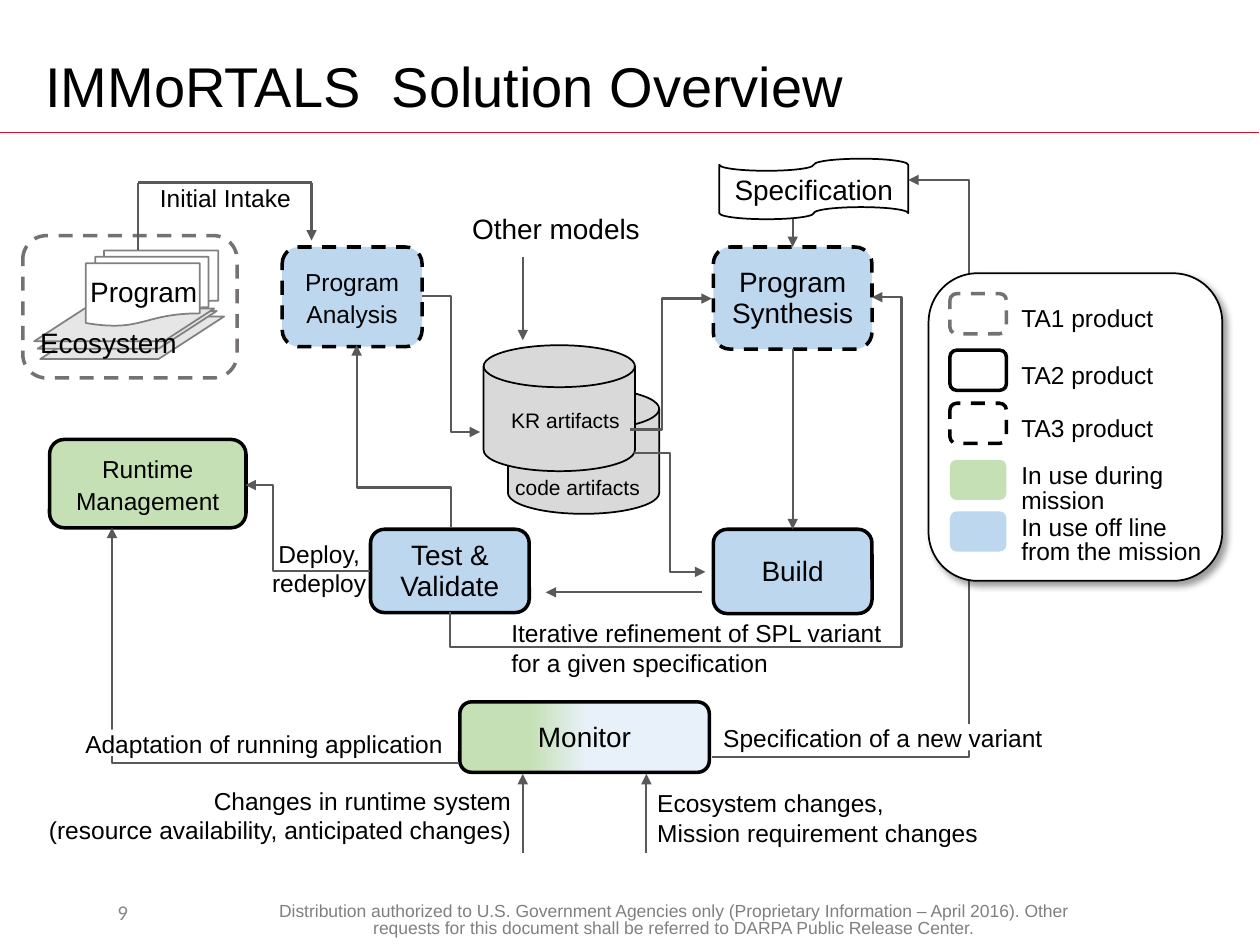
from lxml import etree
from pptx import Presentation
from pptx.dml.color import RGBColor
from pptx.enum import dml, shapes, text
from pptx.oxml import ns
from pptx.util import Cm, Pt

COLORS = {
    "black": "000000", "white": "FFFFFF", "rule": "CE1126", "arrow": "595959",
    "blue": "BDD7EE", "green": "C5E0B4", "pale": "E8F1F9", "disk": "D9D9D9",
    "ground": "E7E6E6", "outline": "808080", "ta1": "767171", "number": "898989",
}
FORM = shapes.MSO_SHAPE
ALIGN = text.PP_ALIGN


def rgb(name):
    return RGBColor.from_string(COLORS[name])


def child(parent, tag, **attributes):
    return etree.SubElement(parent, ns.qn(tag), attributes)


def write(frame, content, size, align, spacing=None, color="black", font="Arial"):
    frame.text = content
    frame.word_wrap = True
    for paragraph in frame.paragraphs:
        paragraph.alignment = align
        if spacing:
            paragraph.line_spacing = spacing
        paragraph.font.size = Pt(size)
        paragraph.font.name = font
        paragraph.font.color.rgb = rgb(color)


class Region:
    """Draws parts at centimetre offsets from its own left top corner."""

    def __init__(self, slide, left, top):
        self.shapes, self.left, self.top = slide.shapes, left, top

    def at(self, x, y):
        return Cm(self.left + x), Cm(self.top + y)

    def shape(self, form, x, y, width, height, fill=None, line=None, weight=1, dash=False):
        part = self.shapes.add_shape(form, *self.at(x, y), Cm(width), Cm(height))
        part.shadow.inherit = False
        if fill:
            part.fill.solid()
            part.fill.fore_color.rgb = rgb(fill)
        else:
            part.fill.background()
        if line:
            part.line.color.rgb = rgb(line)
            part.line.width = Pt(weight)
            if dash:
                part.line.dash_style = dml.MSO_LINE.DASH
        else:
            part.line.fill.background()
        return part

    def node(self, content, x, y, width, height, fill="blue", size=16,
             dash=False, form=FORM.ROUNDED_RECTANGLE, weight=2, spacing=Pt(18)):
        part = self.shape(form, x, y, width, height, fill, "black", weight, dash)
        part.text_frame.vertical_anchor = text.MSO_ANCHOR.MIDDLE
        write(part.text_frame, content, size, ALIGN.CENTER, spacing)
        return part

    def label(self, content, x, y, width, height=0.84, size=14, align=ALIGN.LEFT, **style):
        box = self.shapes.add_textbox(*self.at(x, y), Cm(width), Cm(height))
        write(box.text_frame, content, size, align, **style)
        return box

    def line(self, start, end, arrow=True, color="arrow", weight=1.25,
             kind=shapes.MSO_CONNECTOR.STRAIGHT):
        part = self.shapes.add_connector(kind, *self.at(*start), *self.at(*end))
        part.line.color.rgb = rgb(color)
        part.line.width = Pt(weight)
        if arrow:
            child(part.line._get_or_add_ln(), "a:tailEnd", type="triangle")
        child(part._element.spPr, "a:effectLst")
        return part

    def route(self, start, end, *bends, upright=False):
        """Elbow arrow; bends are fractions of the span, upright leaves vertically."""
        if upright:
            cx, cy = (start[0] + end[0]) / 2, (start[1] + end[1]) / 2
            start, end = ((cx + cy - y, cy + x - cx) for x, y in (start, end))
        part = self.line(start, end, kind=shapes.MSO_CONNECTOR.ELBOW)
        properties = part._element.spPr
        if upright:
            properties.find(ns.qn("a:xfrm")).set("rot", str(270 * 60000))
        geometry = properties.find(ns.qn("a:prstGeom"))
        geometry.set("prst", f"bentConnector{len(bends) + 2}")
        guides = geometry.find(ns.qn("a:avLst"))
        if guides is None:
            guides = child(geometry, "a:avLst")
        for number, bend in enumerate(bends, 1):
            child(guides, "a:gd", name=f"adj{number}", fmla=f"val {round(bend * 100000)}")


def draw_frame(slide):
    """Title, rule, page number and distribution notice."""
    title = slide.shapes.title
    title.left, title.top, title.width, title.height = Cm(0.66), Cm(0.76), Cm(22.86), Cm(1.9)
    title.text_frame.vertical_anchor = text.MSO_ANCHOR.MIDDLE
    write(title.text_frame, "IMMoRTALS  Solution Overview", 32, ALIGN.LEFT)
    page = Region(slide, 0, 0)
    page.line((0, 2.67), (25.38, 2.67), arrow=False, color="rule", weight=1)
    page.label("Distribution authorized to U.S. Government Agencies only (Proprietary "
               "Information – April 2016). Other requests for this document shall be "
               "referred to DARPA Public Release Center.",
               5.36, 18.11, 16.43, 0.79, 10, ALIGN.CENTER, spacing=0.8, color="outline")
    number = page.label("9", 0.71, 17.88, 3.53, 1.02, 12, ALIGN.CENTER,
                        color="number", font="Calibri")
    number.text_frame.vertical_anchor = text.MSO_ANCHOR.MIDDLE


def draw_ecosystem(slide, left, top):
    area = Region(slide, left, top)
    for x, y, width, height in ((0.35, 1.63, 3.71, 0.86), (0.3, 1.52, 3.61, 0.76),
                                (0.23, 1.47, 3.63, 0.66)):
        layer = area.shape(FORM.PARALLELOGRAM, x, y, width, height, "ground", "outline")
        layer.adjustments[0] = 1.54
    area.shape(FORM.FLOWCHART_MULTIDOCUMENT, 1.27, 0.3, 2.67, 1.52, "white", "outline")
    area.label("Program", 1.11, 0.66, 2.74, 0.94, 16)
    area.label("Ecosystem", 0.1, 1.68, 3.3, 0.94, 16)
    area.shape(FORM.ROUNDED_RECTANGLE, 0, 0, 4.32, 2.87, None, "ta1", 2, True)
    area.line((2.33, 0.28), (2.33, -1.07), arrow=False)
    area.line((2.33, -1.07), (5.82, -1.07), arrow=False)
    area.line((5.82, -1.07), (5.82, 0.1))
    area.label("Initial Intake", 2.36, -1.19, 3.45, align=ALIGN.CENTER)


def draw_artifacts(slide, left, top):
    area = Region(slide, left, top)
    for x, y in ((0.49, 0.86), (0, 0)):
        area.shape(FORM.FLOWCHART_MAGNETIC_DISK, x, y, 3.05, 2.54, "disk", "black")
    for content, x, y, width in (("KR artifacts", 0.23, 1.22, 2.84),
                                 ("code artifacts", 0.13, 2.57, 3.53)):
        area.label(content, x, y, width, 0.66, 12, ALIGN.CENTER, spacing=0.8)
    area.label("Other models", -0.48, -2.82, 4.04, 0.94, 16)
    area.line((0.79, -1.78), (0.79, -0.1))


def draw_process(slide, left, top):
    area = Region(slide, left, top)
    area.node("Program Analysis", 4.69, 1.98, 2.82, 2.01, size=14, dash=True)
    synthesis = area.node("Program Synthesis", 13.38, 1.98, 3.2, 2.06, dash=True)
    build = area.node("Build", 13.38, 7.67, 3.2, 1.7)
    area.node("Test & Validate", 6.47, 7.67, 3.2, 1.68)
    area.node("Runtime Management", 0, 5.86, 3.96, 1.78, "green", 14)

    area.route((7.51, 2.97), (8.68, 5.71), 0.5)
    area.route((11.7, 5.66), (13.35, 3.02), 0.39)
    area.route((11.78, 6.14), (13.22, 8.53), 0.5)
    area.route((6.47, 8.51), (3.95, 6.78), 0.78)
    area.route((8.09, 7.64), (6.19, 3.96), 0.22, upright=True)
    area.route((8.07, 9.34), (16.58, 2.99), -0.11, 1.07, upright=True)
    area.line((13.15, 8.94), (10, 8.94))
    synthesis_to_build = area.line((14.98, 4.04), (14.98, 7.67))
    synthesis_to_build.begin_connect(synthesis, 2)
    synthesis_to_build.end_connect(build, 0)
    area.line((14.98, 1.17), (14.98, 1.98)).end_connect(synthesis, 0)

    area.node("Specification", 13.5, 0.2, 3.81, 1.22, "white",
              form=FORM.FLOWCHART_PUNCHED_TAPE, weight=1, spacing=None)
    area.label("Deploy,\nredeploy", 4.18, 7.74, 2.51, 1.47, align=ALIGN.CENTER)
    area.label("Iterative refinement of SPL variant for a given specification",
               9.06, 9.34, 8.08, 1.47)


def draw_monitor(slide, left, top):
    area = Region(slide, left, top)
    monitor = area.node("Monitor", 0, 0, 5.03, 1.42)
    monitor.fill.gradient()
    monitor.fill.gradient_angle = 0
    for stop, position, color in zip(monitor.fill.gradient_stops, (0.28, 0.51), ("green", "pale")):
        stop.position = position
        stop.color.rgb = rgb(color)
    area.route((-0.02, 1.24), (-7.01, -3.51), 1)
    area.route((5.08, 1.12), (9.04, -10.52), 1.31)
    for x in (1.27, 3.76):
        area.line((x, 3.05), (x, 1.45))
    for x, y in ((-7.29, 0.56), (10.03, 0.45)):
        area.shape(FORM.RECTANGLE, x, y, 0.48, 0.53, "white")
    area.label("Adaptation of running application", -7.8, 0.43, 8.03)
    area.label("Specification of a new variant", 5.06, 0.3, 7.34)
    area.label("Changes in runtime system\n(resource availability, anticipated changes)",
               -8.79, 1.57, 10.08, 1.47, align=ALIGN.RIGHT)
    area.label("Ecosystem changes,\nMission requirement changes", 3.73, 1.62, 7.77, 1.47)


def draw_legend(slide, left, top):
    area = Region(slide, left, top)
    panel = area.shape(FORM.ROUNDED_RECTANGLE, 0, 0, 5.92, 6.2, "white", "black")
    effects = panel._element.spPr.find(ns.qn("a:effectLst"))
    shadow = child(effects, "a:outerShdw", blurRad=str(Pt(4)), dist=str(Pt(3)),
                   dir=str(45 * 60000), algn="tl", rotWithShape="0")
    child(child(shadow, "a:srgbClr", val=COLORS["black"]), "a:alpha", val="40000")
    entries = (
        ("TA1 product", 0.41, None, "ta1", True),
        ("TA2 product", 1.55, None, "black", False),
        ("TA3 product", 2.62, None, "black", True),
        ("In use during mission", 3.76, "green", None, False),
        ("In use off line from the mission", 4.8, "blue", None, False),
    )
    for content, y, fill, line, dash in entries:
        area.shape(FORM.ROUNDED_RECTANGLE, 0.43, y, 1.14, 0.81, fill, line, 2, dash)
        if fill:
            area.label(content, 1.62, y - 0.02, 4.4, 1.4, spacing=Pt(14))
        else:
            area.label(content, 1.62, y + 0.07, 3.7, 0.94)


def main():
    deck = Presentation()
    deck.slide_width, deck.slide_height = Cm(25.4), Cm(19.05)
    slide = deck.slides.add_slide(deck.slide_layouts[5])
    draw_frame(slide)
    draw_ecosystem(slide, 0.46, 4.75)
    draw_artifacts(slide, 9.75, 6.96)
    draw_process(slide, 1, 3)
    draw_monitor(slide, 9.27, 14.15)
    draw_legend(slide, 18.72, 5.51)
    deck.save("out.pptx")


if __name__ == "__main__":
    main()
